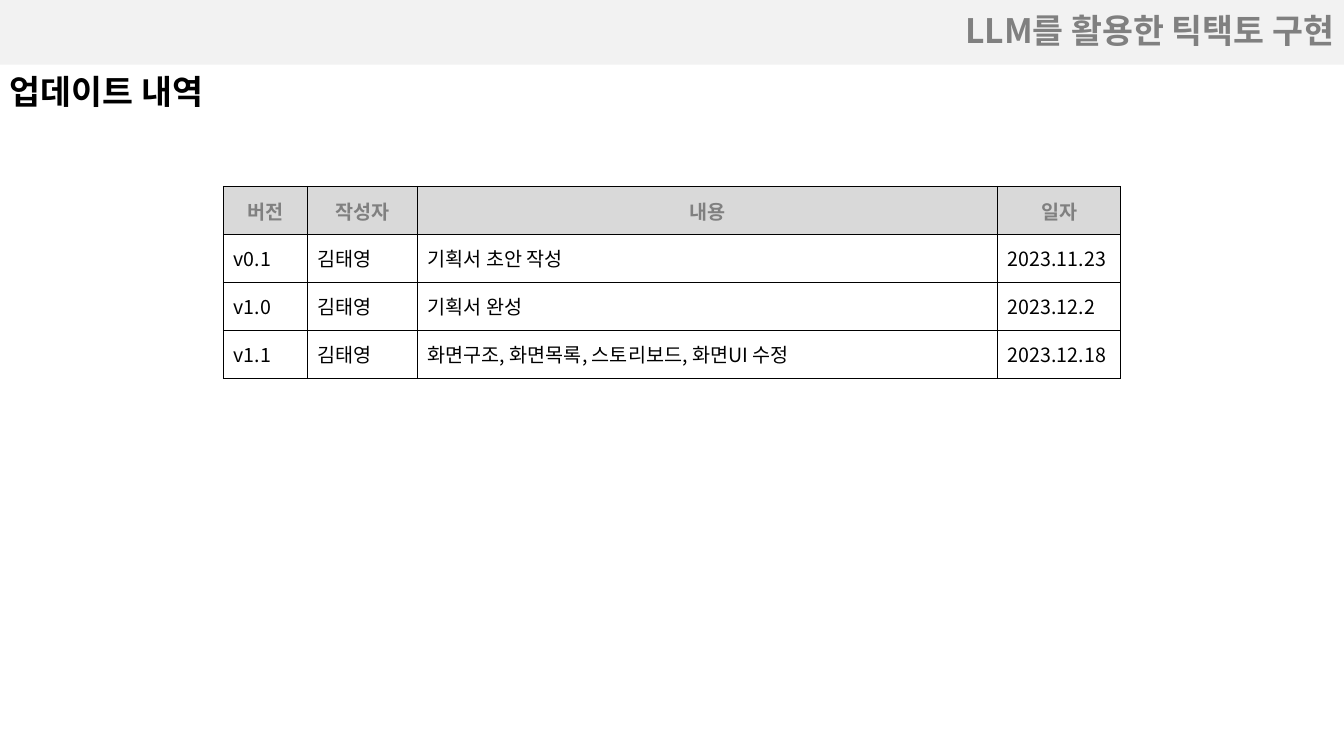
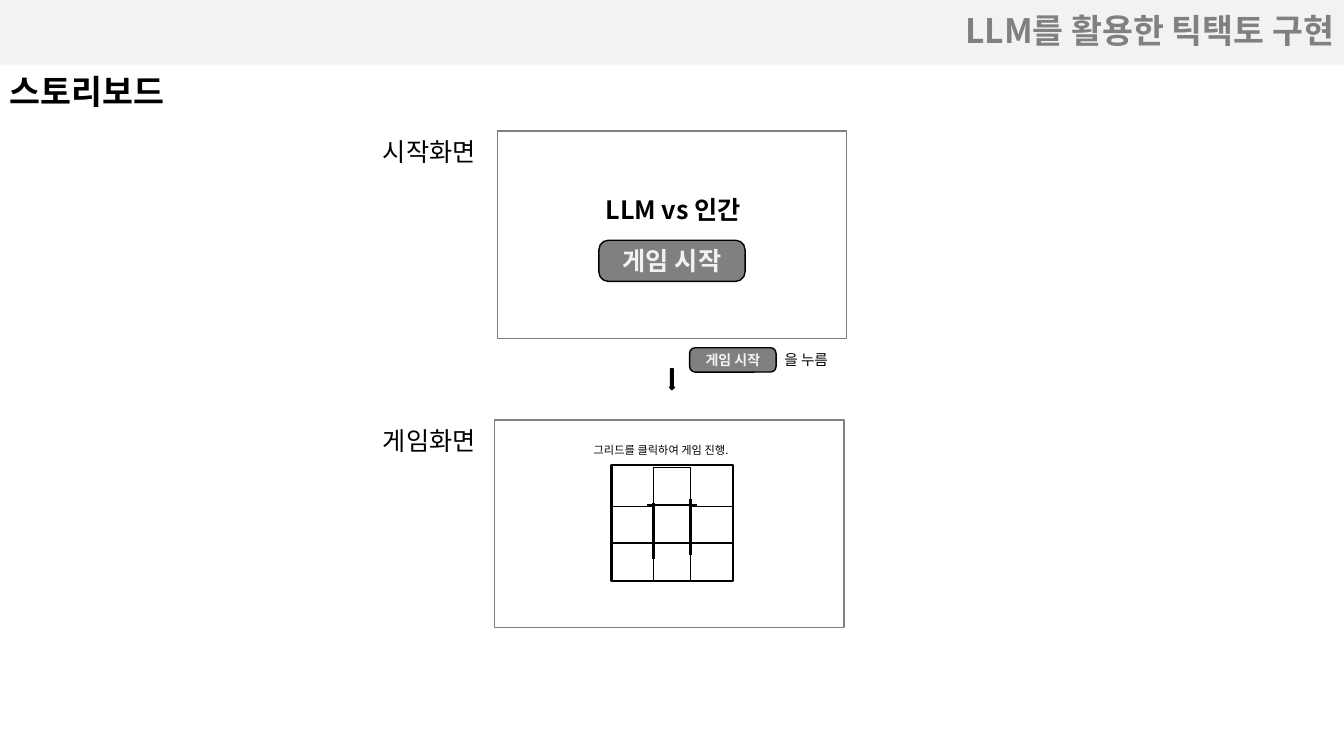
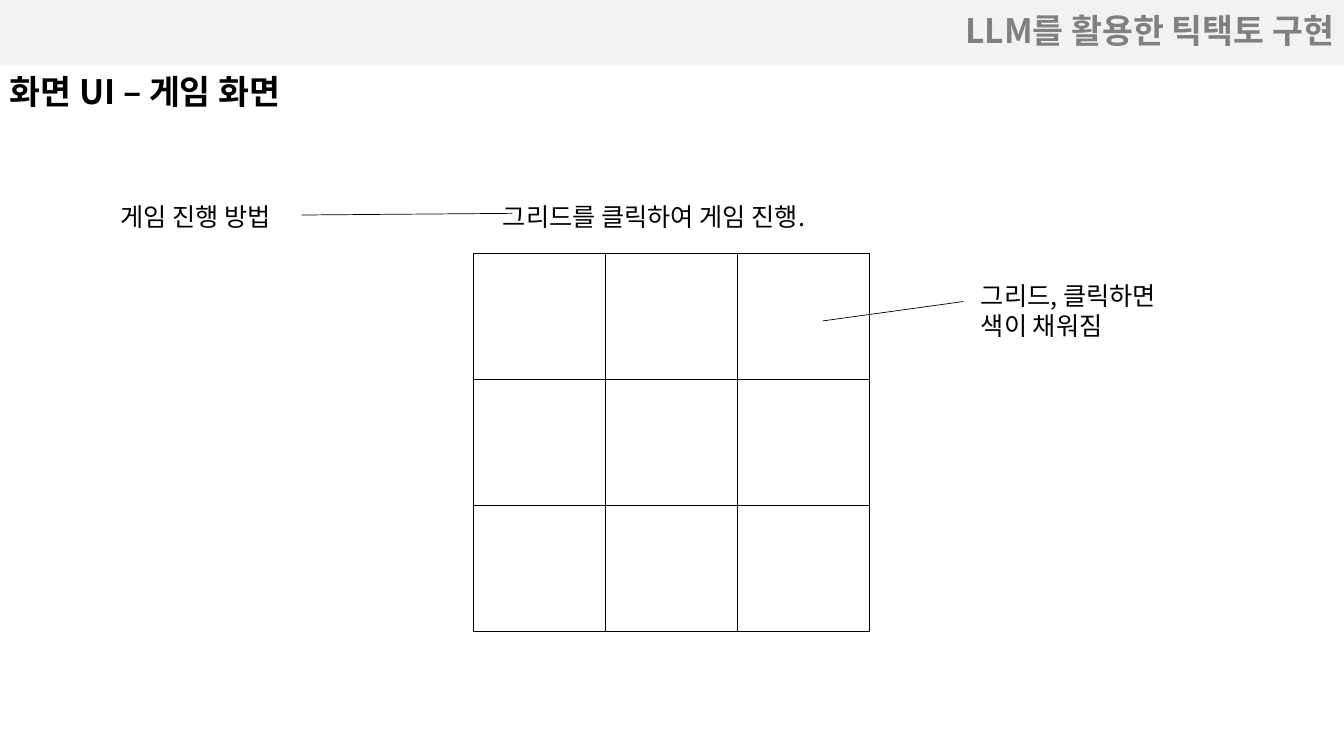
import lxml.etree
import pptx
import pptx.dml.color
import pptx.enum.shapes
import pptx.enum.text
import pptx.oxml.ns
import pptx.util

RGBColor = pptx.dml.color.RGBColor
WHITE = RGBColor(0xFF, 0xFF, 0xFF)
BLACK = RGBColor(0, 0, 0)
GREY = RGBColor(0x80, 0x80, 0x80)
BAND = RGBColor(0xF2, 0xF2, 0xF2)
HEADER = RGBColor(0xD9, 0xD9, 0xD9)

FONT = "Noto Sans CJK KR"
COLUMNS, ROWS = 160, 90
DECK_TITLE = "LLM를 활용한 틱택토 구현"
START = "게임 시작"
HINT = "그리드를 클릭하여 게임 진행."

Shapes = pptx.enum.shapes.MSO_SHAPE
Align = pptx.enum.text.PP_ALIGN
Anchor = pptx.enum.text.MSO_ANCHOR
AutoSize = pptx.enum.text.MSO_AUTO_SIZE
qn = pptx.oxml.ns.qn


class Deck:
    """Draw styled elements on the current slide, in grid columns and rows."""

    def __init__(self):
        self.presentation = pptx.Presentation()
        self.presentation.slide_width = pptx.util.Inches(13.333)
        self.presentation.slide_height = pptx.util.Inches(7.5)
        self.column = self.presentation.slide_width / COLUMNS
        self.row = self.presentation.slide_height / ROWS
        self.slide = None

    def box(self, left, top, width, height):
        """Turn grid measures into slide lengths."""
        return (round(left * self.column), round(top * self.row),
                round(width * self.column), round(height * self.row))

    def add_slide(self, heading):
        """Start a slide with the title band and a section heading."""
        layout = self.presentation.slide_layouts[5]
        self.slide = self.presentation.slides.add_slide(layout)
        title = self.slide.shapes.title
        title.left, title.top, title.width, title.height = self.box(0, 0, COLUMNS, 7.7)
        title.fill.solid()
        title.fill.fore_color.rgb = BAND
        title.text_frame.auto_size = AutoSize.NONE
        self.add_runs(title.text_frame, DECK_TITLE, 24, GREY, True, Align.RIGHT, Anchor.MIDDLE)
        title.text_frame.paragraphs[0].line_spacing = 0.9
        self.text(0, 7.8, COLUMNS, 6, heading, 24, bold=True, wrap=True)

    def add_runs(self, frame, text, size, color=BLACK, bold=False,
                 align=Align.LEFT, anchor=Anchor.TOP):
        """Fill a text frame with one paragraph for each line."""
        frame.vertical_anchor = anchor
        for number, line in enumerate(text.split("\n")):
            paragraph = frame.add_paragraph() if number else frame.paragraphs[0]
            paragraph.alignment = align
            run = paragraph.add_run()
            run.text = line
            run.font.size = pptx.util.Pt(size)
            run.font.bold = bold
            run.font.color.rgb = color
            run.font.name = FONT
            properties = run._r.get_or_add_rPr()
            lxml.etree.SubElement(properties, qn("a:ea"), typeface=FONT)

    def text(self, left, top, width, height, text, size=18, bold=False, wrap=False):
        """Add a text box."""
        shape = self.slide.shapes.add_textbox(*self.box(left, top, width, height))
        shape.text_frame.word_wrap = wrap
        shape.text_frame.auto_size = AutoSize.SHAPE_TO_FIT_TEXT
        self.add_runs(shape.text_frame, text, size, bold=bold)

    def shape(self, kind, left, top, width, height, fill=WHITE, line=BLACK, weight=1):
        """Add a preset shape."""
        shape = self.slide.shapes.add_shape(kind, *self.box(left, top, width, height))
        shape.shadow.inherit = False
        if fill is None:
            shape.fill.background()
        else:
            shape.fill.solid()
            shape.fill.fore_color.rgb = fill
        shape.line.color.rgb = line
        shape.line.width = pptx.util.Pt(weight)
        return shape

    def button(self, left, top, width, height, size):
        """Add a rounded start button."""
        shape = self.shape(Shapes.ROUNDED_RECTANGLE, left, top, width, height, GREY)
        shape.adjustments[0] = 0.23
        self.add_runs(shape.text_frame, START, size, BAND, True, Align.CENTER, Anchor.MIDDLE)

    def line(self, start, end, weight):
        """Add a straight line between two grid points."""
        connector = self.slide.shapes.add_connector(
            pptx.enum.shapes.MSO_CONNECTOR.STRAIGHT, *self.box(*start, *end))
        connector.line.color.rgb = BLACK
        connector.line.width = pptx.util.Pt(weight)
        lxml.etree.SubElement(connector._element.spPr, qn("a:effectLst"))

    def border(self, cell):
        """Draw a thin black border round a table cell."""
        properties = cell._tc.get_or_add_tcPr()
        for side in ("a:lnL", "a:lnR", "a:lnT", "a:lnB"):
            edge = lxml.etree.SubElement(properties, qn(side), w=str(pptx.util.Pt(1)))
            fill = lxml.etree.SubElement(edge, qn("a:solidFill"))
            lxml.etree.SubElement(fill, qn("a:srgbClr"), val=str(BLACK))

    def table(self, left, top, widths, row_height, rows, first_fill):
        """Add a bordered table whose first row is filled."""
        measures = self.box(left, top, sum(widths), row_height * len(rows))
        table = self.slide.shapes.add_table(len(rows), len(widths), *measures).table
        table.first_row = table.horz_banding = False
        for column, width in zip(table.columns, widths):
            column.width = round(width * self.column)
        for number, (row, texts) in enumerate(zip(table.rows, rows)):
            row.height = round(row_height * self.row)
            for cell, text in zip(row.cells, texts):
                self.border(cell)
                if number:
                    cell.fill.background()
                    style = (BLACK, False, Align.LEFT)
                else:
                    cell.fill.solid()
                    cell.fill.fore_color.rgb = first_fill
                    style = (GREY, True, Align.CENTER)
                cell.vertical_anchor = Anchor.MIDDLE
                if text:
                    self.add_runs(cell.text_frame, text, 14, *style, Anchor.MIDDLE)


def add_updates(deck):
    """Build the version history."""
    deck.add_slide("업데이트 내역")
    versions = [
        ("버전", "작성자", "내용", "일자"),
        ("v0.1", "김태영", "기획서 초안 작성", "2023.11.23"),
        ("v1.0", "김태영", "기획서 완성", "2023.12.2"),
        ("v1.1", "김태영", "화면구조, 화면목록, 스토리보드, 화면UI 수정", "2023.12.18"),
    ]
    deck.table(26.6, 22.2, (10, 13.1, 69.1, 14.6), 5.71, versions, HEADER)


def add_storyboard(deck):
    """Build the flow from the start screen to the game screen."""
    deck.add_slide("스토리보드")
    deck.shape(Shapes.RECTANGLE, 59.2, 15.6, 41.6, 24.7, line=GREY)
    deck.shape(Shapes.DOWN_ARROW, 79.7, 43.9, 0.6, 2.5, BLACK)
    deck.shape(Shapes.RECTANGLE, 58.9, 50, 41.6, 24.7, line=GREY)
    for top, name in ((15.6, "시작화면"), (50, "게임화면")):
        deck.text(44.4, top, 14.5, 4.8, name)
    deck.button(71.3, 28.6, 17.4, 4.9, 18)
    deck.text(70.9, 22.6, 19.4, 4.8, "LLM vs 인간", bold=True)

    deck.shape(Shapes.MATH_PLUS, 70.2, 53.2, 19.6, 18.5)
    deck.shape(Shapes.RECTANGLE, 72.8, 55.4, 14.5, 13.8, None, weight=1.5)
    for left, top in ((77.8, 59.9), (82.2, 59.4)):
        deck.line((left, top), (left, top + 6.7), 1.5)
    for left, top in ((76.7, 64.7), (77, 60.1)):
        deck.line((left, top), (left + 6, top), 1.5)

    deck.text(69.5, 52.2, 20.2, 2.9, HINT, 8, wrap=True)
    deck.text(92.2, 41.2, 8.4, 3.4, "을 누름", 10.5)
    deck.button(82.1, 41.4, 10.3, 2.9, 10)


def add_game_screen(deck):
    """Build the annotated game board."""
    deck.add_slide("화면 UI – 게임 화면")
    deck.table(56.4, 30.2, [15.72] * 3, 15, [[""] * 3] * 3, WHITE)
    deck.text(58.7, 23.4, 42.7, 4.8, HINT)
    deck.line((61, 25.4), (35.9, 25.6), 0.5)
    deck.line((98, 38.2), (114.7, 35.9), 0.5)
    deck.text(13.2, 23.4, 22.8, 4.8, "게임 진행 방법")
    deck.text(115.6, 32.8, 25.3, 8.5, "그리드, 클릭하면\n색이 채워짐")


deck = Deck()
add_updates(deck)
add_storyboard(deck)
add_game_screen(deck)
deck.presentation.save("out.pptx")
